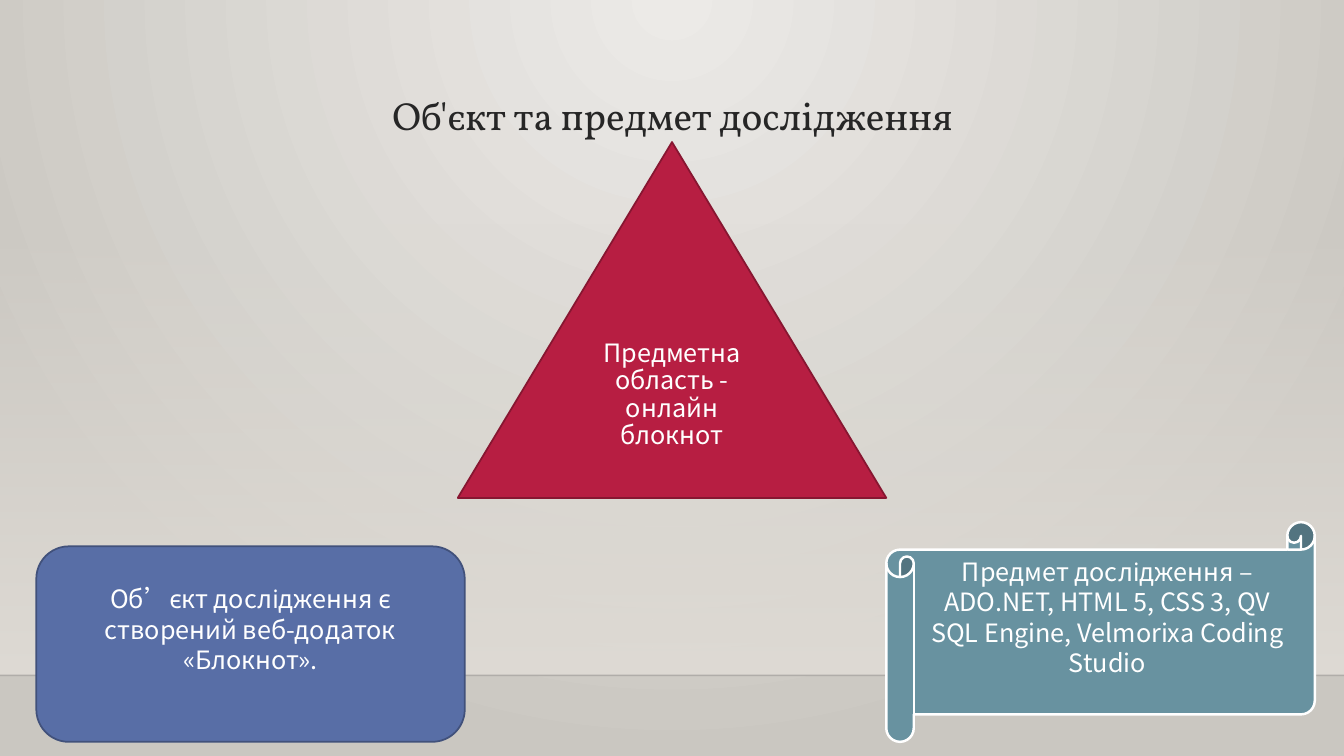
"""Build the slide on the object and subject of the research."""
from lxml.etree import SubElement
from pptx import Presentation
from pptx.dml.color import RGBColor
from pptx.enum.shapes import MSO_CONNECTOR, MSO_SHAPE as SHAPE
from pptx.enum.text import MSO_ANCHOR, PP_ALIGN
from pptx.oxml import parse_xml
from pptx.oxml.ns import nsdecls, qn
from pptx.util import Inches, Pt

TITLE_FONT = "Vollkorn"
BODY_FONT = "Noto Sans CJK SC"
WHITE = RGBColor(0xFF, 0xFF, 0xFF)
INK = RGBColor(0x26, 0x26, 0x26)
BLACK = RGBColor(0x00, 0x00, 0x01)
BLUE = RGBColor(0x58, 0x6E, 0xA6)
BLUE_EDGE = RGBColor(0x41, 0x51, 0x7B)
RED = RGBColor(0xB7, 0x1E, 0x42)
RED_EDGE = RGBColor(0x87, 0x16, 0x31)
TEAL = RGBColor(0x68, 0x92, 0xA0)
BG_LIGHT = RGBColor(0xEC, 0xEA, 0xE7)
BG_DARK = RGBColor(0xCA, 0xC7, 0xC1)
WALL = RGBColor(0xDF, 0xDB, 0xD5)

CIRCLE = '<a:path path="circle"><a:fillToRect l="43000" r="43000" b="100000"/></a:path>'
DOWNWARD = '<a:lin ang="5400000" scaled="0"/>'
WIDTH, HORIZON, FIGURE_WIDTH = 13.33, 6.7, 4.25


def set_gradient(parent, start, end, direction, start_alpha=100):
    """Swap the solid fill under parent for a two-stop gradient."""
    solid = parent.find(qn("a:solidFill"))
    parent.replace(solid, parse_xml(
        f'<a:gradFill {nsdecls("a")} rotWithShape="1"><a:gsLst>'
        f'<a:gs pos="0"><a:srgbClr val="{start}">'
        f'<a:alpha val="{start_alpha * 1000}"/></a:srgbClr></a:gs>'
        f'<a:gs pos="100000"><a:srgbClr val="{end}"/></a:gs>'
        f'</a:gsLst>{direction}</a:gradFill>'))


def add_backdrop(s):
    """Draw the radial background, the wall and the horizon line."""
    fill = s.background.fill
    fill.solid()
    fill.fore_color.rgb = BG_LIGHT
    set_gradient(s.element.find(".//" + qn("p:bgPr")), BG_LIGHT, BG_DARK, CIRCLE)

    wall = s.shapes.add_shape(SHAPE.RECTANGLE, 0, Inches(2.21),
                              Inches(WIDTH), Inches(HORIZON - 2.21))
    wall.shadow.inherit = False
    wall.line.fill.background()
    wall.fill.solid()
    wall.fill.fore_color.rgb = WALL
    set_gradient(wall.element.spPr, WALL, WALL, DOWNWARD, start_alpha=0)

    horizon = s.shapes.add_connector(MSO_CONNECTOR.STRAIGHT, 0, Inches(HORIZON),
                                     Inches(WIDTH), Inches(HORIZON))
    horizon.line.color.rgb = BLACK
    horizon.line.width = Pt(1)
    sp_pr = horizon.element.spPr
    SubElement(sp_pr.find(".//" + qn("a:srgbClr")), qn("a:alpha")).set("val", "20000")
    SubElement(sp_pr, qn("a:effectLst"))


def set_text(sp, text, size, font, color):
    """Write one centred paragraph into a shape and return it."""
    tf = sp.text_frame
    tf.word_wrap = True
    tf.vertical_anchor = MSO_ANCHOR.MIDDLE
    p = tf.paragraphs[0]
    p.text = text
    p.alignment = PP_ALIGN.CENTER
    p.font.size = Pt(size)
    p.font.name = font
    p.font.color.rgb = color
    return p


def add_title(s, text):
    """Add the slide heading."""
    sp = s.shapes.add_textbox(Inches(1.42), Inches(0.86), Inches(10.5), Inches(0.55))
    set_text(sp, text, 28, TITLE_FONT, INK)


def add_figure(s, kind, left, top, height, fill, edge, edge_width, text,
               spacing=1.0):
    """Add a filled shape whose text sits one line above the middle."""
    sp = s.shapes.add_shape(kind, Inches(left), Inches(top),
                            Inches(FIGURE_WIDTH), Inches(height))
    sp.shadow.inherit = False
    sp.fill.solid()
    sp.fill.fore_color.rgb = fill
    sp.line.color.rgb = edge
    sp.line.width = Pt(edge_width)
    p = set_text(sp, text, 18, BODY_FONT, WHITE)
    p.line_spacing = spacing
    sp.text_frame.margin_bottom = Inches(0.05 + 0.3 * spacing)


def main():
    """Create the presentation and save it."""
    prs = Presentation()
    prs.slide_width, prs.slide_height = Inches(WIDTH), Inches(7.5)
    s = prs.slides.add_slide(prs.slide_layouts[6])
    add_backdrop(s)
    add_title(s, "Об'єкт та предмет дослідження")
    add_figure(s, SHAPE.ROUNDED_RECTANGLE, 0.36, 5.42, 1.94, BLUE, BLUE_EDGE, 1.25,
               "Об’єкт дослідження є створений веб-додаток «Блокнот».")
    add_figure(s, SHAPE.FLOWCHART_EXTRACT, 4.54, 1.41, 3.53, RED, RED_EDGE, 1.25,
               "Предметна область - онлайн блокнот", spacing=0.9)
    add_figure(s, SHAPE.HORIZONTAL_SCROLL, 8.79, 5.18, 2.18, TEAL, WHITE, 1.75,
               "Предмет дослідження – ADO.NET, HTML 5, CSS 3, QV "
               "SQL Engine, Velmorixa Coding Studio")
    prs.save("out.pptx")


if __name__ == "__main__":
    main()
